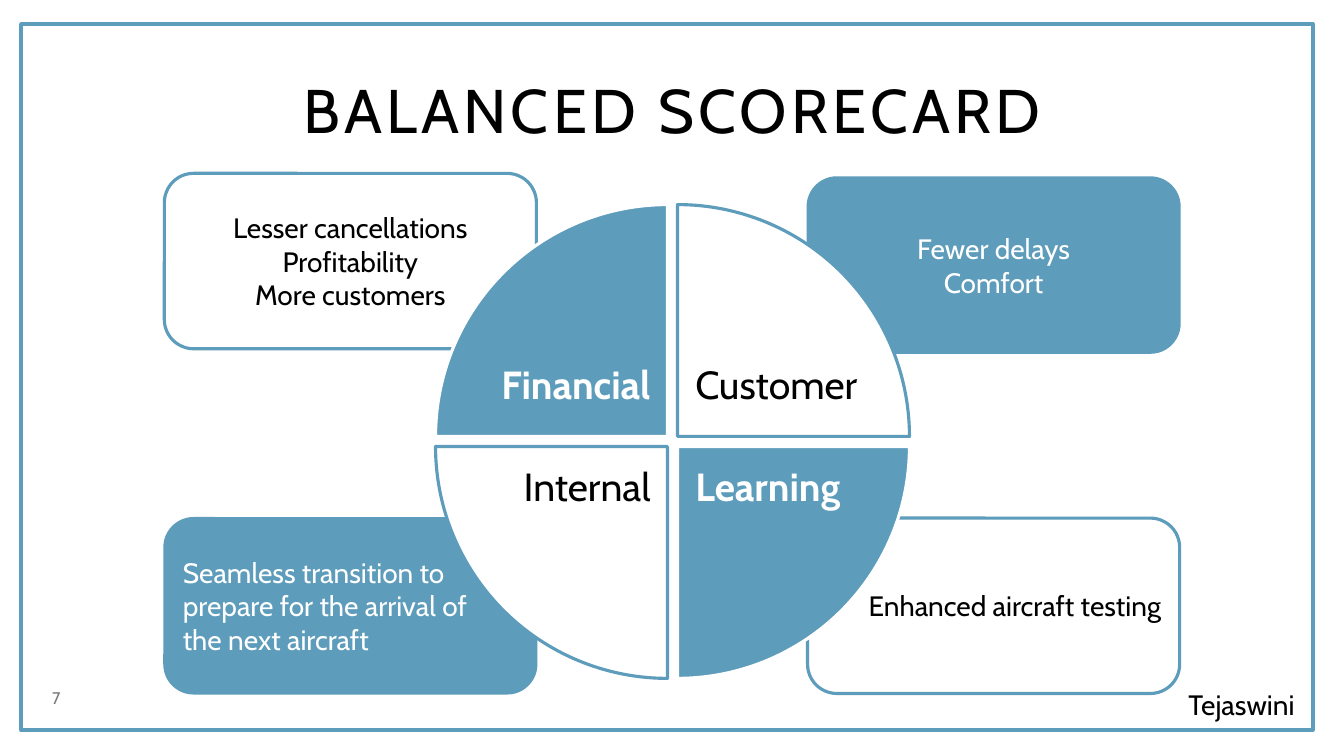
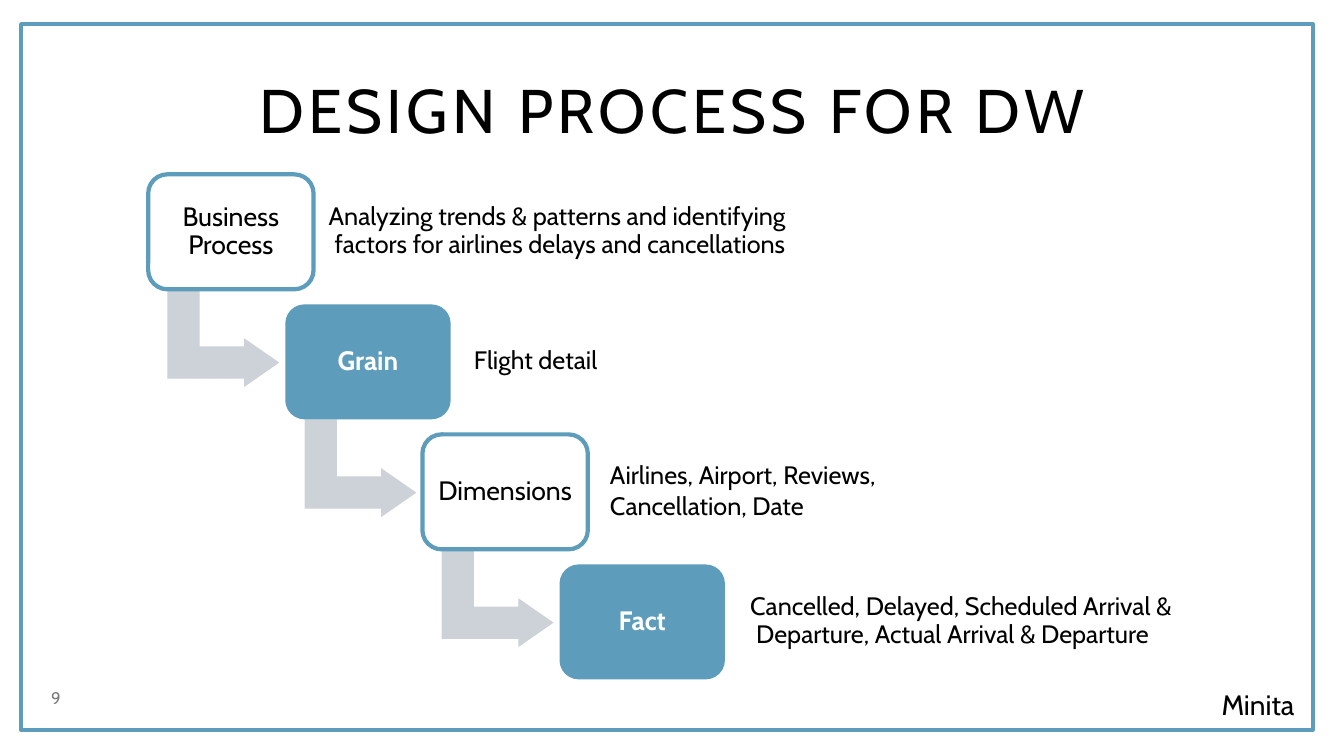
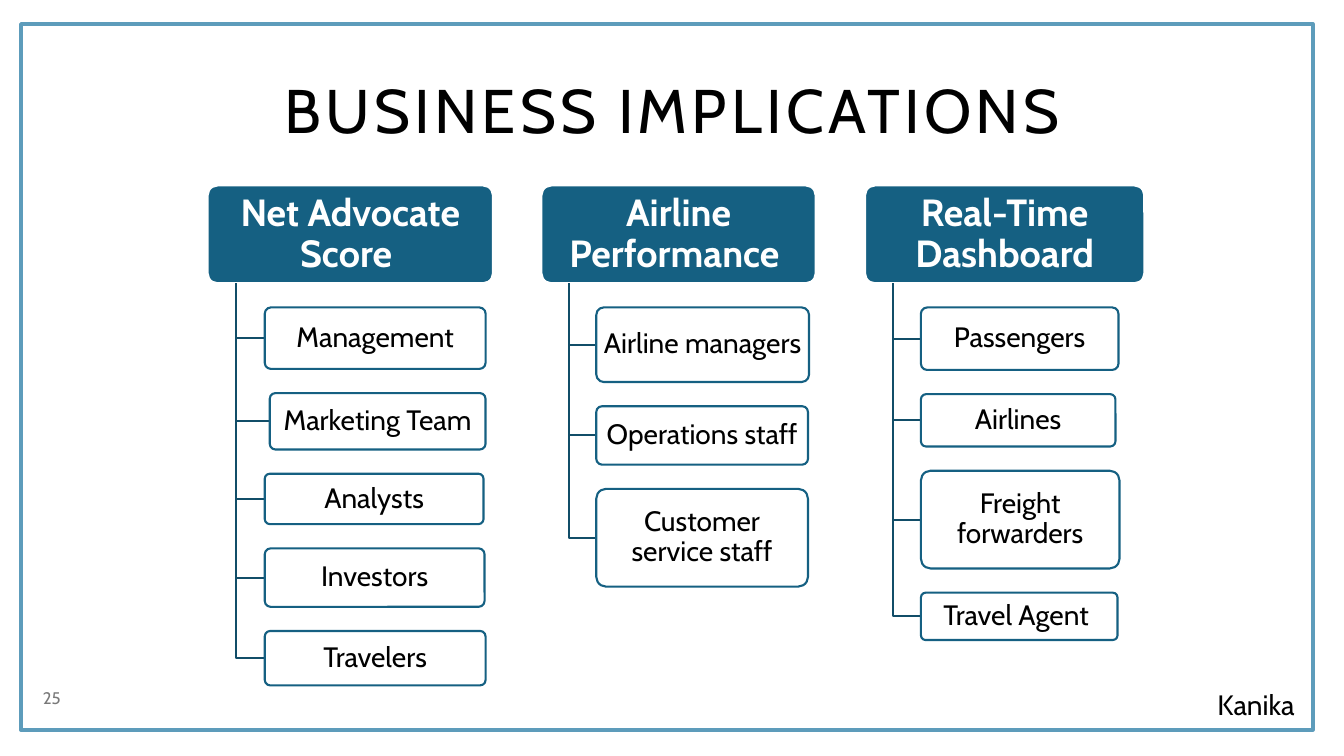
from lxml.etree import SubElement
from pptx import Presentation
from pptx.dml.color import RGBColor
from pptx.enum.shapes import MSO_SHAPE
from pptx.enum.text import MSO_ANCHOR, PP_ALIGN
from pptx.util import Inches, Pt

FONT = "Cabin"
BLUE = RGBColor(0x5D, 0x9C, 0xBB)
TEAL = RGBColor(0x15, 0x60, 0x82)
NAVY = RGBColor(0x11, 0x4D, 0x68)
PALE = RGBColor(0xCC, 0xD2, 0xD8)
GREY = RGBColor(0x79, 0x79, 0x79)
BLACK = RGBColor(0, 0, 0)
WHITE = RGBColor(0xFF, 0xFF, 0xFF)
LEFT, MID, RIGHT = PP_ALIGN.LEFT, PP_ALIGN.CENTER, PP_ALIGN.RIGHT

CARDS = [
    (1.63, 1.72, False, MID,
     ["Lesser cancellations", "Profitability", "More customers"]),
    (8.01, 1.76, True, MID, ["Fewer delays", "Comfort"]),
    (1.63, 5.14, True, LEFT,
     ["Seamless transition to", "prepare for the arrival of", "the next aircraft"]),
    (8.01, 5.14, False, RIGHT, ["Enhanced aircraft testing"]),
]
WEDGES = [("Financial", 0, 0), ("Customer", 1, 0), ("Learning", 1, 1), ("Internal", 0, 1)]

STEPS = [
    ("Business Process", 1.74, 4.9,
     ["Analyzing trends & patterns and identifying factors for airlines delays and cancellations"]),
    ("Grain", 1.82, 2.14, ["Flight detail"]),
    ("Dimensions", 1.81, 3.58, ["Airlines, Airport, Reviews,", "Cancellation, Date"]),
    ("Fact", 1.84, 4.45,
     ["Cancelled, Delayed, Scheduled Arrival & Departure, Actual Arrival & Departure"]),
]

TREES = [
    (2.06, 2.83, "Net Advocate Score ", [
        ("Management", 0.61, 2.19), ("Marketing Team", 0.56, 2.14, 0.05),
        ("Analysts", 0.5, 2.17), ("Investors", 0.58, 2.18), ("Travelers", 0.54, 2.19)]),
    (5.37, 2.72, "Airline Performance ", [
        ("Airline managers", 0.74, 2.11), ("Operations staff", 0.58, 2.1),
        ("Customer service staff", 0.97, 2.1)]),
    (8.58, 2.77, "Real-Time Dashboard", [
        ("Passengers", 0.62, 1.96), ("Airlines", 0.52, 1.93),
        ("Freight forwarders", 0.97, 1.97), ("Travel Agent ", 0.47, 1.95)]),
]


def write(shape, lines, size, color=BLACK, bold=False, align=MID,
          anchor=MSO_ANCHOR.MIDDLE, pad=None, pitch=None):
    """Fill a shape with one paragraph per line and return the paragraphs."""
    frame = shape.text_frame
    frame.word_wrap = True
    frame.vertical_anchor = anchor
    if pad is not None:
        frame.margin_left = frame.margin_right = Inches(pad)
        frame.margin_top = frame.margin_bottom = Inches(pad)
    frame.text = "\n".join(lines)
    for para in frame.paragraphs:
        para.alignment = align
        if pitch:
            para.line_spacing = pitch
        font = para.font
        font.name, font.size, font.bold = FONT, Pt(size), bold
        font.color.rgb = color
    return frame.paragraphs


def label(slide, box, lines, size, **style):
    """Add a text box at box and write in it."""
    area = slide.shapes.add_textbox(*map(Inches, box))
    return write(area, lines, size, **style)


def draw(slide, kind, box, fill=None, line=None, width=1.5):
    """Add a flat preset shape at box."""
    shape = slide.shapes.add_shape(kind, *map(Inches, box))
    paint(shape, fill, line, width)
    return shape


def paint(shape, fill, line, width):
    """Set fill and outline, leaving out whichever is None."""
    shape.shadow.inherit = False
    if fill is None:
        shape.fill.background()
    else:
        shape.fill.solid()
        shape.fill.fore_color.rgb = fill
    if line is None:
        shape.line.fill.background()
    else:
        shape.line.color.rgb = line
        shape.line.width = Pt(width)


def start(deck, title, owner, number):
    """Add a slide with frame, title, owner and page number."""
    slide = deck.slides.add_slide(deck.slide_layouts[6])
    draw(slide, MSO_SHAPE.RECTANGLE, (0.21, 0.24, 12.81, 7), None, BLUE, 3)
    head = label(slide, (0.92, 0.4, 11.5, 1.45), [title], 44, pitch=0.9)
    head[0].runs[0]._r.get_or_add_rPr().set("spc", "300")
    label(slide, (11.35, 6.77, 1.65, 0.44), [owner], 20, align=RIGHT,
          anchor=MSO_ANCHOR.TOP)
    label(slide, (0.21, 6.76, 0.49, 0.32), [str(number)], 12, color=GREY, align=RIGHT)
    return slide


def card(slide, left, top, dark, align, lines):
    """Draw one rounded card of the scorecard."""
    shape = draw(slide, MSO_SHAPE.ROUNDED_RECTANGLE, (left, top, 3.69, 1.74),
                 BLUE if dark else WHITE, BLUE, 1.5 if dark else 2.25)
    write(shape, lines, 20, WHITE if dark else BLACK, align=align)


def wheel(slide, left, top):
    """Draw four quarter wedges, then their names near the hub."""
    for turn, (name, col, row) in enumerate(WEDGES):
        dark = col == row
        wedge = draw(slide, MSO_SHAPE.PIE_WEDGE,
                     (left + 2.4 * col, top + 2.4 * row, 2.3, 2.3),
                     BLUE if dark else WHITE, WHITE if dark else BLUE, 2.25)
        wedge.rotation = 90 * turn
    for name, col, row in WEDGES:
        dark = col == row
        box = (left + (2.48 if col else 0.13), top + (2.51 if row else 1.5), 2.1, 0.57)
        label(slide, box, [name], 28, color=WHITE if dark else BLACK, bold=dark,
              align=LEFT if col else RIGHT, anchor=MSO_ANCHOR.TOP)


def step(slide, left, top, dark, last, name, shift, wide, lines):
    """Draw one stair step with its detail text and the arrow to the next."""
    if not last:
        arrow = draw(slide, MSO_SHAPE.BENT_UP_ARROW,
                     (left + 0.26, top + 1.07, 0.97, 1.11), PALE)
        arrow.rotation = 90
        for spot, value in enumerate((0.33, 0.25, 0.36)):
            arrow.adjustments[spot] = value
    shape = draw(slide, MSO_SHAPE.ROUNDED_RECTANGLE, (left, top, 1.64, 1.14),
                 BLUE if dark else WHITE, None if dark else BLUE, 3)
    write(shape, [name], 19, WHITE if dark else BLACK, dark, pad=0.05, pitch=0.9)
    box = (left + shift, top + 0.1, wide, 0.93)
    for para in label(slide, box, lines, 18, align=LEFT, pad=0.05, pitch=0.9):
        para.space_after = Pt(2.7)
        props = para._p.get_or_add_pPr()
        props.set("marL", str(Inches(0.06)))
        props.set("indent", str(-Inches(0.06)))


def elbow(slide, left, top, right, low):
    """Draw a line going down and then right."""
    path = slide.shapes.build_freeform(Inches(left), Inches(top))
    path.add_line_segments([(Inches(left), Inches(low)), (Inches(right), Inches(low))],
                           close=False)
    paint(path.convert_to_shape(), None, NAVY, 1.5)


def tree(slide, left, top, wide, title, items):
    """Draw a heading with its items hanging below on elbow lines."""
    head = draw(slide, MSO_SHAPE.ROUNDED_RECTANGLE, (left, top, wide, 0.97), TEAL, WHITE)
    head.adjustments[0] = 0.1
    write(head, [title], 27, WHITE, True, pad=0.05, pitch=0.9)
    base = top + 0.97
    low = base + 0.24
    for name, high, span, *shift in items:
        edge = left + 0.2 * wide + sum(shift)
        elbow(slide, left + 0.1 * wide, base, edge, low + high / 2)
        item = draw(slide, MSO_SHAPE.ROUNDED_RECTANGLE, (edge, low, span, high), WHITE, TEAL)
        item.adjustments[0] = 0.1
        write(item, [name], 20, pad=0.03, pitch=0.9)
        low += high + 0.24


def main():
    """Build the three slides and save them."""
    deck = Presentation()
    deck.slide_width, deck.slide_height = Inches(13.33), Inches(7.5)

    score = start(deck, "BALANCED SCORECARD", "Tejaswini ", 7)
    for part in CARDS:
        card(score, *part)
    wheel(score, 4.32, 2.03)

    stairs = start(deck, "DESIGN PROCESS FOR DW", "Minita ", 9)
    for rank, part in enumerate(STEPS):
        step(stairs, 1.47 + 1.36 * rank, 1.73 + 1.29 * rank, rank % 2 == 1,
             rank == len(STEPS) - 1, *part)

    trees = start(deck, "BUSINESS IMPLICATIONS", "Kanika ", 25)
    for left, wide, title, items in TREES:
        tree(trees, left, 1.84, wide, title, items)

    deck.save("out.pptx")


if __name__ == "__main__":
    main()
